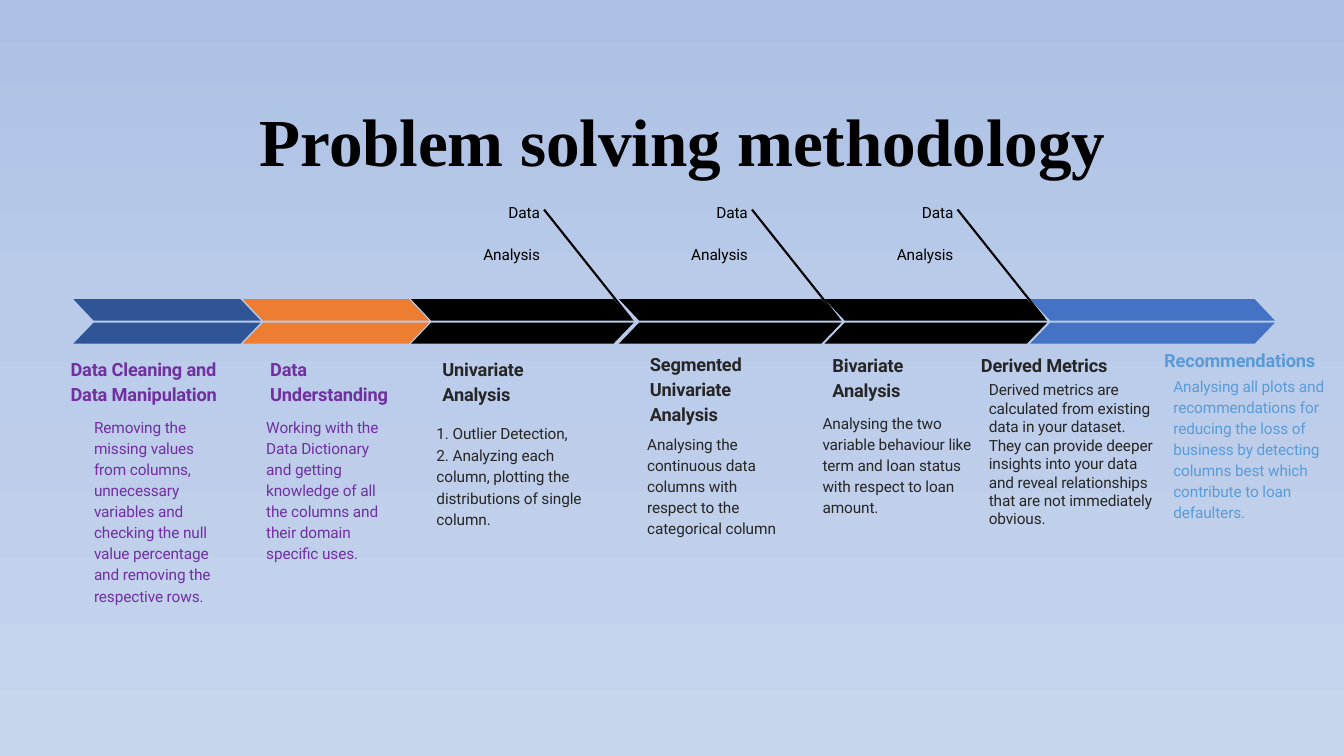
from copy import deepcopy
from dataclasses import dataclass

from pptx import Presentation
from pptx.dml.color import RGBColor as Rgb
from pptx.enum.shapes import MSO_CONNECTOR as Connector
from pptx.enum.text import MSO_ANCHOR as Anchor, MSO_AUTO_SIZE as AutoSize, PP_ALIGN as Align
from pptx.oxml.ns import qn
from pptx.oxml.xmlchemy import OxmlElement
from pptx.util import Cm, Pt


@dataclass(frozen=True)
class Theme:
    sky: tuple = ((0, "ABC0E4"), (0.39, "B9CBE9"), (1, "C7D5ED"))
    black: str = "000000"
    ink: str = "262626"
    purple: str = "7030A0"
    light_blue: str = "5B9BD5"
    navy: str = "2F5597"
    orange: str = "ED7D31"
    blue: str = "4472C4"
    title_font: str = "Times New Roman"
    text_font: str = "Roboto"
    title_size: int = 48
    heading_size: int = 13
    body_size: int = 11


theme = Theme()


def place(box, area):
    """Move a text shape to an area in cm and clear its margins."""
    box.left, box.top, box.width, box.height = (Cm(length) for length in area)
    frame = box.text_frame
    frame.word_wrap = True
    frame.auto_size = AutoSize.NONE
    frame.vertical_anchor = Anchor.TOP
    frame.margin_left = frame.margin_right = frame.margin_bottom = 0
    frame.margin_top = Cm(0.03)
    return frame


def write(frame, lines, size, color, bold=False, spacing=1.14, font=theme.text_font, align=Align.LEFT):
    """Write each line as a plain paragraph without a bullet."""
    for number, line in enumerate(lines):
        para = frame.add_paragraph() if number else frame.paragraphs[0]
        para.alignment = align
        para.line_spacing = spacing
        para.space_before = Pt(1)
        props = para._p.get_or_add_pPr()
        props.set("marL", "0")
        props.set("indent", "0")
        props.append(OxmlElement("a:buNone"))
        span = para.add_run()
        span.text = line
        span.font.name = font
        span.font.size = Pt(size)
        span.font.bold = bold
        span.font.color.rgb = Rgb.from_string(color)
        span._r.get_or_add_rPr().set("spc", "-10")


deck = Presentation()
deck.slide_width, deck.slide_height = Cm(33.87), Cm(19.05)
page = deck.slides.add_slide(deck.slide_layouts[1])
title, body_list = page.placeholders

# Background: three-stop vertical gradient
sky = page.background.fill
sky.gradient()
sky.gradient_angle = 270
stop_list = page._element.find(".//" + qn("a:gsLst"))
stop_list.append(deepcopy(stop_list[-1]))
for stop, (position, color) in zip(sky.gradient_stops, theme.sky):
    stop.position = position
    stop.color.rgb = Rgb.from_string(color)

# Title
write(place(title, (2.51, 2.46, 29.39, 2.31)), ["Problem solving methodology"],
      theme.title_size, theme.black, bold=True, spacing=1, font=theme.title_font, align=Align.CENTER)

# Arrow band: every arrow is an upper and a lower half
slant = 0.51
halves = ((7.54, 8.08), (8.66, 8.13))  # outer edge, inner edge
arrows = (
    (1.85, 4.72, theme.navy),
    (6.12, 4.7, theme.orange),
    (10.36, 5.61, theme.black),
    (15.6, 5.61, theme.black),
    (25.96, 6.17, theme.blue),
    (20.78, 5.61, theme.black),
)
for left, width, color in arrows:
    right = left + width
    for outer, inner in halves:
        outline = page.shapes.build_freeform(Cm(left), Cm(outer))
        corners = ((right - slant, outer), (right, inner), (left + slant, inner))
        outline.add_line_segments([(Cm(x), Cm(y)) for x, y in corners], close=True)
        half = outline.convert_to_shape()
        half.shadow.inherit = False
        half.fill.solid()
        half.fill.fore_color.rgb = Rgb.from_string(color)
        half.line.fill.background()

# Slanted branches with their labels, one for each black arrow
for left, width, color in arrows:
    if color != theme.black:
        continue
    start = left + 3.35
    branch = page.shapes.add_connector(Connector.STRAIGHT, Cm(start), Cm(5.28), Cm(start + 2.19), Cm(8.03))
    branch.line.color.rgb = Rgb.from_string(theme.black)
    branch.line.width = Pt(1.5)
    branch._element.spPr.append(OxmlElement("a:effectLst"))
    label = place(page.shapes.add_textbox(0, 0, 0, 0), (start - 1.65, 5.03, 1.55, 1.6))
    write(label, ["Data", "Analysis"], theme.body_size, theme.black, align=Align.RIGHT)
    label.paragraphs[1].space_before = Pt(15)

# Stages: heading, its area, body lines, their area, colour, body line spacing
stages = (
    ("Data Cleaning and Data Manipulation", (1.78, 8.92, 4.09, 1.27),
     ["Removing the missing values from columns, unnecessary variables and checking the null "
      "value percentage and removing the respective rows."],
     (2.37, 10.44, 3.12, 4.83), theme.purple, 1.14),
    ("Data Understanding", (6.81, 8.92, 3.1, 1.27),
     ["Working with the Data Dictionary and getting knowledge of all the columns and "
      "their domain speciﬁc uses."],
     (6.71, 10.44, 2.95, 3.78), theme.purple, 1.14),
    ("Univariate Analysis", (11.15, 8.92, 2.16, 1.27),
     ["1. Outlier Detection,",
      "2. Analyzing each column, plotting the distributions of single column."],
     (11, 10.59, 4.14, 2.72), theme.ink, 1.14),
    ("Segmented Univariate Analysis", (16.38, 8.79, 3.6, 1.9),
     ["Analysing the continuous data columns with respect to the categorical column"],
     (16.31, 10.87, 3.5, 2.72), theme.ink, 1.14),
    ("Bivariate Analysis", (20.98, 8.81, 2, 1.27),
     ["Analysing the two variable behaviour like term and loan status with respect to loan amount."],
     (20.73, 10.34, 3.89, 2.72), theme.ink, 1.14),
    ("Derived Metrics", (24.72, 8.81, 4.1, 0.64),
     ["Derived metrics are calculated from existing data in your dataset. They can provide deeper "
      "insights into your data and reveal relationships that are not immediately obvious."],
     (24.92, 9.55, 4.14, 4.2), theme.ink, 1),
    ("Recommendations", (29.34, 8.7, 3.94, 0.64),
     ["Analysing all plots and recommendations for reducing the loss of business by detecting "
      "columns best which contribute to loan defaulters."],
     (29.57, 9.4, 4.04, 3.78), theme.light_blue, 1.14),
)
for heading, heading_area, lines, body_area, color, spacing in stages:
    heading_box = page.shapes.add_textbox(0, 0, 0, 0)
    write(place(heading_box, heading_area), [heading], theme.heading_size, color, bold=True, spacing=1.15)
    body_box = body_list if len(lines) > 1 else page.shapes.add_textbox(0, 0, 0, 0)
    write(place(body_box, body_area), lines, theme.body_size, color, spacing=spacing)

deck.save("out.pptx")
